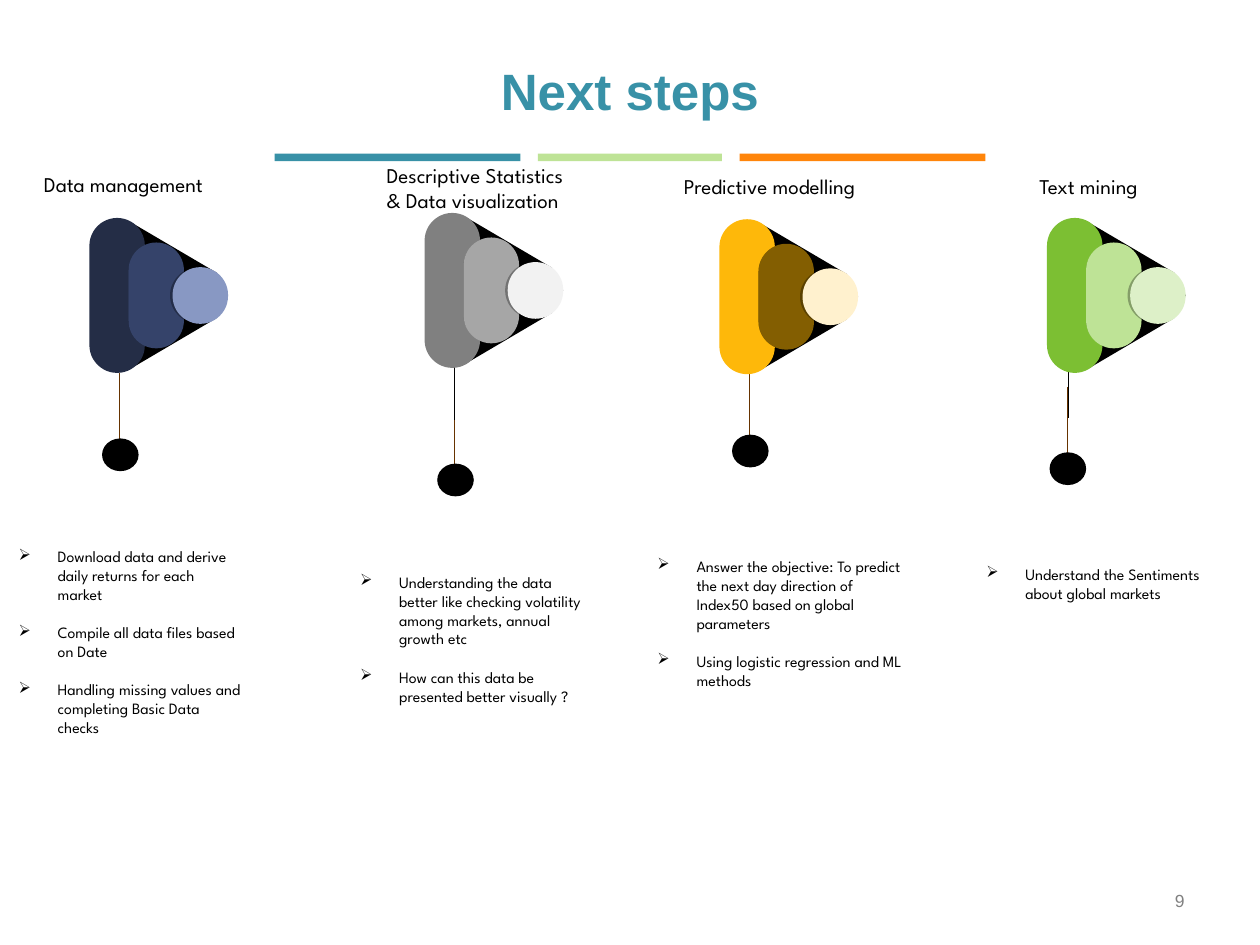
from dataclasses import dataclass
from pptx import Presentation
from pptx.dml.color import RGBColor as Rgb
from pptx.enum.shapes import MSO_CONNECTOR as Conn, MSO_SHAPE as Kind
from pptx.enum.text import MSO_ANCHOR as Anchor, PP_ALIGN as Align
from pptx.oxml.ns import qn
from pptx.util import Inches, Pt
from lxml.etree import SubElement as Sub


@dataclass(frozen=True)
class Theme:
    head: str = "Arial"
    body: str = "League Spartan"
    teal: str = "3891A7"
    lime: str = "BEE396"
    orange: str = "FF850A"
    brown: str = "663300"
    black: str = "000000"
    gray: str = "808080"
    title: float = 29.2
    label: float = 12
    text: float = 9
    page: float = 10
    gap: float = 11


@dataclass(frozen=True)
class Step:
    left: float
    top: float
    fills: tuple
    label: tuple
    lines: tuple
    stem: tuple
    list_at: tuple
    items: tuple
    link: tuple = ()


T = Theme()

STEPS = (
    Step(0.71, 1.73, ("242D46", "35436A", "8898C3"),
         (0.25, 1.31), ("Data management",),
         (0.95, 2.96), (0.05, 3.99, 1.97, 2.21),
         ("Download data and derive daily returns for each market",
          "Compile all data files based on Date",
          "Handling missing values and completing Basic Data checks")),
    Step(3.37, 1.69, ("808080", "A6A6A6", "F2F2F2"),
         (2.97, 1.24), ("Descriptive Statistics", "& Data visualization"),
         (3.61, 3.16), (2.76, 4.11, 1.97, 1.92),
         ("Understanding the data better like checking volatility among markets, annual growth etc",
          "How can this data be presented better visually ?"),
         (3.61, 2.9, 3.33)),
    Step(5.71, 1.74, ("FEB80A", "835E01", "FFF1CE"),
         (5.33, 1.33), ("Predictive modelling",),
         (5.95, 2.93), (5.12, 3.84, 2.17, 2.21),
         ("Answer the objective: To predict the next day direction of Index50 based on global parameters",
          "Using logistic regression and ML methods")),
    Step(8.31, 1.73, ("7CBF33", "BEE396", "DDF0C8"),
         (8.15, 1.33), ("Text mining",),
         (8.47, 3.07), (7.73, 4.1, 1.97, 1.06),
         ("Understand the Sentiments about global markets",),
         (8.48, 2.71, 3.32)),
)


def paint(shape, color):
    shape.shadow.inherit = False
    shape.fill.solid()
    shape.fill.fore_color.rgb = Rgb.from_string(color)
    shape.line.fill.background()
    return shape


def block(shapes, kind, at, color):
    return paint(shapes.add_shape(kind, *map(Inches, at)), color)


def style(para, size, color, name=T.body, bold=False):
    font = para.font
    font.name, font.size, font.bold = name, Pt(size), bold
    font.color.rgb = Rgb.from_string(color)


def line(shapes, x, top, end, color):
    rod = shapes.add_connector(Conn.STRAIGHT, *map(Inches, (x, top, x, end)))
    rod.line.color.rgb = Rgb.from_string(color)
    rod.line.width = Pt(0.75)
    Sub(rod._element.spPr, qn("a:effectLst"))


def text(slide, at, lines, size, color=T.black, name=T.body):
    frame = slide.shapes.add_textbox(*map(Inches, at)).text_frame
    frame.word_wrap = True
    frame.text = "\n".join(lines)
    for para in frame.paragraphs:
        style(para, size, color, name)
    return frame


def bullets(slide, at, items):
    frame = slide.shapes.add_textbox(*map(Inches, at)).text_frame
    frame.word_wrap = True
    frame.vertical_anchor = Anchor.MIDDLE
    frame.margin_top = frame.margin_bottom = Inches(0.1)
    frame.text = "\n".join(items)
    for num, para in enumerate(frame.paragraphs):
        if num:
            para.space_before = Pt(T.gap)
        props = para._p.get_or_add_pPr()
        props.set("marL", str(Inches(0.31)))
        props.set("indent", str(-Inches(0.31)))
        Sub(props, qn("a:buChar"), char="➢")
        style(para, T.text, T.black)


def outline(shapes, points, color):
    (x, y), *rest = points
    pen = shapes.build_freeform(Inches(x), Inches(y))
    pen.add_line_segments([(Inches(a), Inches(b)) for a, b in rest])
    return paint(pen.convert_to_shape(), color)


def curve(ends, count=12):
    for num in range(count + 1):
        t = num / count
        parts = ((1 - t) ** 3, 3 * t * (1 - t) ** 2, 3 * t * t * (1 - t), t ** 3)
        yield tuple(sum(p * e[axis] for p, e in zip(parts, ends)) for axis in (0, 1))


def shade(shapes, left, mid, high):
    arc = list(curve(((0.1, 0.02), (0.04, 0.06), (0, 0.13), (0, 0.2))))
    low = [(x, high - y) for x, y in reversed(arc)]
    points = [(0.13, 0), *arc, *low, (0.13, high)]
    top = mid - high / 2
    form = outline(shapes, [(left + x, top + y) for x, y in points], T.black)
    tint = form.fill._xPr.find(".//" + qn("a:srgbClr"))
    Sub(tint, qn("a:alpha"), val="30000")


def funnel(slide, step):
    shapes = slide.shapes.add_group_shape().shapes
    mid = step.top + 0.615
    wedge = ((0.33, -0.58), (1.01, -0.18), (1.1, 0), (1.01, 0.18), (0.33, 0.58))
    outline(shapes, [(step.left + x, mid + y) for x, y in wedge], T.black)
    sizes = ((0, 1.23), (0.31, 0.84), (0.66, 0.45))
    shades = ((0.31, 0.8), (0.64, 0.41), None)
    for (x, high), dark, color in zip(sizes, shades, step.fills):
        pill = block(shapes, Kind.ROUNDED_RECTANGLE,
                     (step.left + x, mid - high / 2, 0.44, high), color)
        pill.adjustments[0] = 0.5
        if dark:
            shade(shapes, step.left + dark[0], mid, dark[1])


def stem(slide, step):
    x, top = step.stem
    shapes = slide.shapes
    line(shapes, x, top, top + 0.73, T.brown)
    if step.link:
        line(shapes, *step.link, T.black)
    block(shapes, Kind.OVAL, (x - 0.14, top + 0.52, 0.29, 0.26), T.black)


def head(slide):
    title = slide.shapes.title
    title.left, title.top, title.width, title.height = map(Inches, (0.5, 0.27, 9, 0.89))
    title.text_frame.text = "Next steps"
    title.text_frame.vertical_anchor = Anchor.MIDDLE
    para = title.text_frame.paragraphs[0]
    para.alignment = Align.CENTER
    style(para, T.title, T.teal, T.head, True)
    left = 2.18
    for wide, color in ((1.95, T.teal), (1.46, T.lime), (1.95, T.orange)):
        block(slide.shapes, Kind.RECTANGLE, (left, 1.22, wide, 0.06), color)
        left += wide + 0.14


def main():
    deck = Presentation()
    deck.slide_width, deck.slide_height = Inches(10), Inches(7.5)
    slide = deck.slides.add_slide(deck.slide_layouts[5])
    head(slide)
    for step in STEPS:
        stem(slide, step)
        funnel(slide, step)
        text(slide, (*step.label, 1.85, 0.1 + 0.2 * len(step.lines)), step.lines, T.label)
        bullets(slide, step.list_at, step.items)
    page = text(slide, (7.17, 6.95, 2.33, 0.4), ("9",), T.page, T.gray, T.head)
    page.vertical_anchor = Anchor.MIDDLE
    page.paragraphs[0].alignment = Align.RIGHT
    deck.save("out.pptx")


if __name__ == "__main__":
    main()
